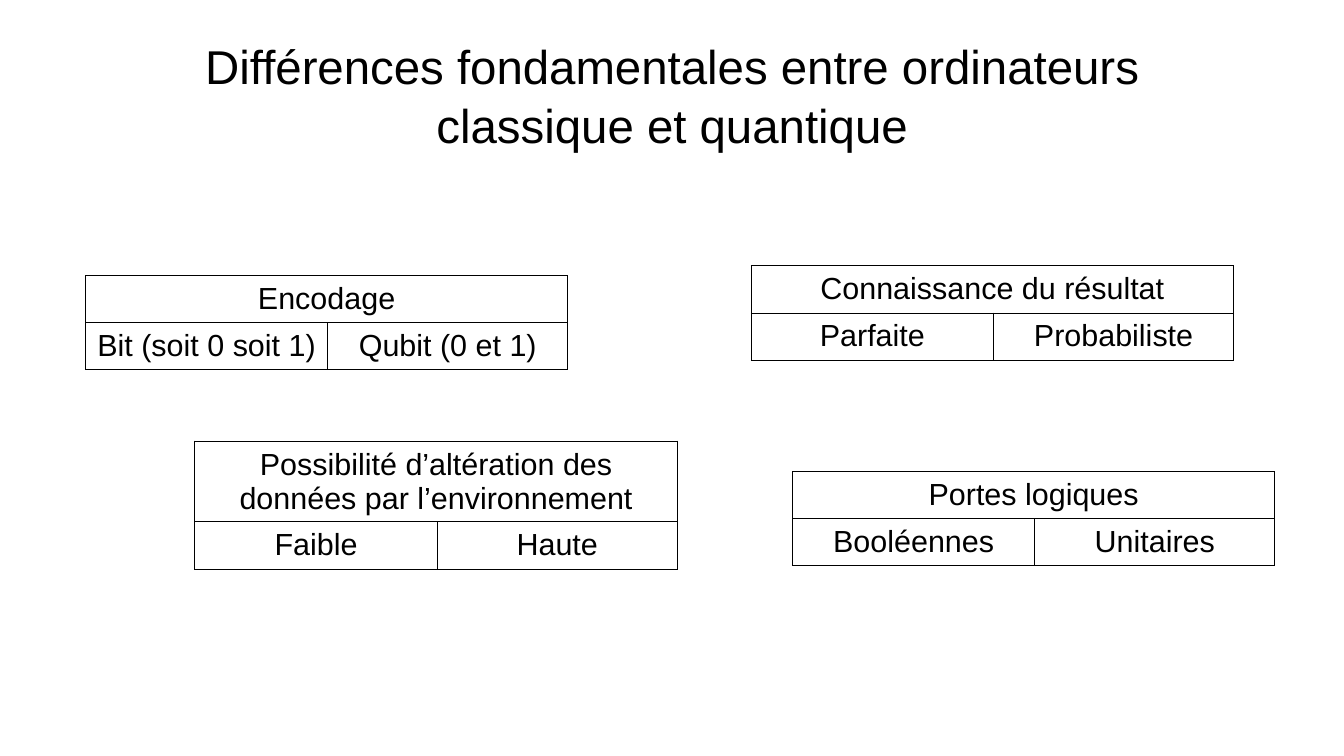
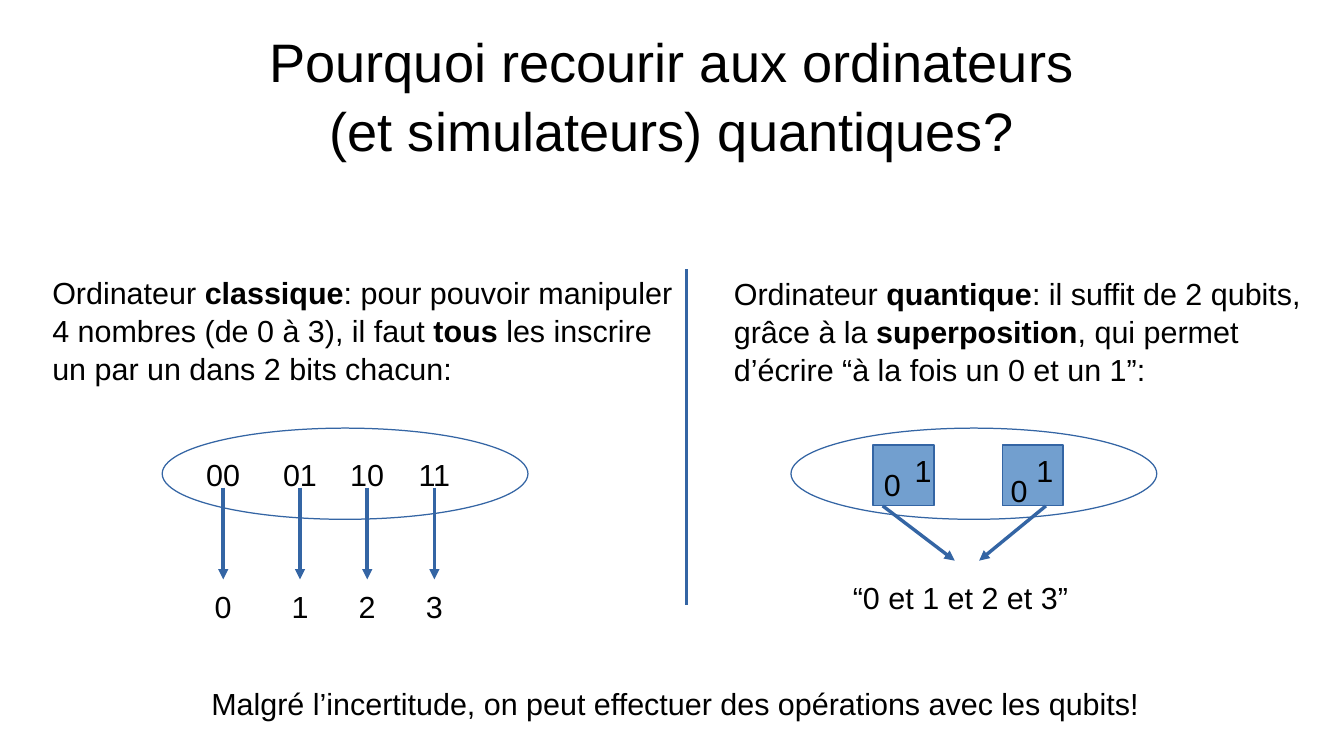
from lxml.etree import SubElement
from pptx import Presentation
from pptx.dml.color import RGBColor
from pptx.enum.shapes import MSO_CONNECTOR, MSO_SHAPE
from pptx.enum.text import MSO_ANCHOR, MSO_AUTO_SIZE, PP_ALIGN
from pptx.oxml.ns import qn
from pptx.util import Cm, Pt

FONT = "Arial"
BLACK = "000000"
BLUE = "3465A4"
LIGHT_BLUE = "729FCF"
BODY_SIZE = 18
LINE_SPACING = 1.05
COLUMN_WIDTHS = (5.05, 5)
ROW_HEIGHT = 0.98
BORDER_WIDTH = Pt(0.57)

COMPARISONS = [
    (1.78, 5.74, ROW_HEIGHT, "Encodage", ("Bit (soit 0 soit 1)", "Qubit (0 et 1)")),
    (15.65, 5.54, ROW_HEIGHT, "Connaissance du résultat", ("Parfaite", "Probabiliste")),
    (4.06, 9.19, 1.63, "Possibilité d’altération des données par l’environnement",
     ("Faible", "Haute")),
    (16.51, 9.83, ROW_HEIGHT, "Portes logiques", ("Booléennes", "Unitaires")),
]
BIT_CENTERS = (4.65, 6.25, 7.65, 9.05)
QUBIT_LEFTS = (18.19, 20.88)
QUBIT_DIGITS = [("0", 18.59, 9.55), ("1", 19.23, 9.25),
                ("0", 21.23, 9.68), ("1", 21.77, 9.25)]
QUBIT_ARROWS = [(18.39, 19.89), (21.79, 20.4)]


def colour(value):
    """Return the colour for a hex string."""
    return RGBColor.from_string(value)


def add_run(paragraph, text, size=BODY_SIZE, bold=False):
    """Append a run in the shared typeface."""
    run = paragraph.add_run()
    run.text = text
    run.font.name = FONT
    run.font.size = Pt(size)
    run.font.bold = bold
    run.font.color.rgb = colour(BLACK)


def add_titled_slide(presentation, lines, size):
    """Add a title-only slide with a centred title, one run per line."""
    slide = presentation.slides.add_slide(presentation.slide_layouts[5])
    title = slide.shapes.title
    title.left, title.top, title.width, title.height = Cm(1.4), Cm(0.63), Cm(25.2), Cm(2.64)
    frame = title.text_frame
    frame.auto_size = MSO_AUTO_SIZE.NONE
    frame.word_wrap = True
    frame.vertical_anchor = MSO_ANCHOR.MIDDLE
    frame.margin_left = frame.margin_top = frame.margin_right = frame.margin_bottom = 0
    paragraph = frame.paragraphs[0]
    paragraph.alignment = PP_ALIGN.CENTER
    paragraph.line_spacing = LINE_SPACING
    for index, line in enumerate(lines):
        if index:
            paragraph.add_line_break()
        add_run(paragraph, line, size)
    return slide


def add_text(slide, runs, left, top, width, height=0.97, alignment=PP_ALIGN.LEFT):
    """Add a text box from (text, bold) pairs."""
    frame = slide.shapes.add_textbox(Cm(left), Cm(top), Cm(width), Cm(height)).text_frame
    frame.word_wrap = True
    paragraph = frame.paragraphs[0]
    paragraph.alignment = alignment
    paragraph.line_spacing = LINE_SPACING
    for text, bold in runs:
        add_run(paragraph, text, bold=bold)


def add_label(slide, text, center, top, width=1.4):
    """Add a short text centred on a horizontal position."""
    add_text(slide, [(text, False)], center - width / 2, top, width,
             alignment=PP_ALIGN.CENTER)


def add_outline(slide, kind, left, top, width, height, fill=None):
    """Add a hairline preset shape, filled if a colour is given."""
    shape = slide.shapes.add_shape(kind, Cm(left), Cm(top), Cm(width), Cm(height))
    shape.shadow.inherit = False
    shape.line.color.rgb = colour(BLUE)
    shape.line.width = Pt(0)
    if fill:
        shape.fill.solid()
        shape.fill.fore_color.rgb = colour(fill)
    else:
        shape.fill.background()


def add_line(slide, start, end, arrow=False):
    """Add a hairline connector, with an arrowhead at its end if asked."""
    connector = slide.shapes.add_connector(
        MSO_CONNECTOR.STRAIGHT, *(Cm(value) for value in (*start, *end)))
    connector.line.color.rgb = colour(BLUE)
    connector.line.width = Pt(0)
    if arrow:
        SubElement(connector.line._get_or_add_ln(), qn("a:tailEnd"), type="triangle")
    SubElement(connector._element.spPr, qn("a:effectLst"))


def add_borders(cell):
    """Draw a thin black border on the four sides of a cell."""
    properties = cell._tc.get_or_add_tcPr()
    for index, side in enumerate(("a:lnL", "a:lnR", "a:lnT", "a:lnB")):
        border = SubElement(properties, qn(side), w=str(BORDER_WIDTH))
        fill = SubElement(border, qn("a:solidFill"))
        SubElement(fill, qn("a:srgbClr"), val=BLACK)
        properties.insert(index, border)


def add_comparison(slide, left, top, heading_height, heading, answers):
    """Add a table with one merged heading above two answers."""
    table = slide.shapes.add_table(
        2, 2, Cm(left), Cm(top), Cm(sum(COLUMN_WIDTHS)),
        Cm(heading_height + ROW_HEIGHT)).table
    table.first_row = table.horz_banding = False
    for column, width in zip(table.columns, COLUMN_WIDTHS):
        column.width = Cm(width)
    for row, height in zip(table.rows, (heading_height, ROW_HEIGHT)):
        row.height = Cm(height)
    table.cell(0, 0).merge(table.cell(0, 1))
    for cell in table.iter_cells():
        cell.fill.background()
        cell.margin_left = cell.margin_right = Cm(0.1)
        cell.margin_top = cell.margin_bottom = Cm(0.13)
        add_borders(cell)
    cells = (table.cell(0, 0), table.cell(1, 0), table.cell(1, 1))
    for cell, text in zip(cells, (heading, *answers)):
        paragraph = cell.text_frame.paragraphs[0]
        paragraph.alignment = PP_ALIGN.CENTER
        add_run(paragraph, text)


def build_differences(presentation):
    """Build the slide of four small comparison tables."""
    slide = add_titled_slide(
        presentation,
        ("Différences fondamentales entre ordinateurs", "classique et quantique"), 28)
    for comparison in COMPARISONS:
        add_comparison(slide, *comparison)


def build_motivation(presentation):
    """Build the slide that sets bits against qubits."""
    slide = add_titled_slide(
        presentation,
        ("Pourquoi recourir aux ordinateurs", "(et simulateurs) quantiques?"), 32)
    add_text(slide, [
        ("Ordinateur ", False), ("classique", True),
        (": pour pouvoir manipuler 4 nombres (de 0 à 3), il faut ", False),
        ("tous", True), (" les inscrire un par un dans 2 bits chacun:", False),
    ], 0.84, 5.54, 13.6, 2.4)
    add_text(slide, [
        ("Ordinateur ", False), ("quantique", True),
        (": il suffit de 2 qubits, grâce à la ", False), ("superposition", True),
        (", qui permet d’écrire “à la fois un 0 et un 1”:", False),
    ], 15.04, 5.56, 12.85, 2.4)
    add_line(slide, (14.3, 5.61), (14.3, 12.6))
    for left in (3.38, 16.48):
        add_outline(slide, MSO_SHAPE.OVAL, left, 8.92, 7.62, 1.9)

    for number, center in enumerate(BIT_CENTERS):
        add_label(slide, f"{number:02b}", center, 9.33)
        add_line(slide, (center, 10.16), (center, 12.07), arrow=True)
        add_label(slide, str(number), center, 12.09)

    for left in QUBIT_LEFTS:
        add_outline(slide, MSO_SHAPE.RECTANGLE, left, 9.27, 1.27, 1.27, LIGHT_BLUE)
    for digit in QUBIT_DIGITS:
        add_label(slide, *digit)
    for start, end in QUBIT_ARROWS:
        add_line(slide, (start, 10.54), (end, 11.68), arrow=True)
    add_label(slide, "“0 et 1 et 2 et 3”", 20.01, 11.91, 7.2)
    add_label(slide, "Malgré l’incertitude, on peut effectuer des opérations avec les qubits!",
              14.07, 14.1, 20.55)


def main():
    """Build and save the presentation."""
    presentation = Presentation()
    presentation.slide_width, presentation.slide_height = Cm(28), Cm(15.75)
    build_differences(presentation)
    build_motivation(presentation)
    presentation.save("out.pptx")


if __name__ == "__main__":
    main()
